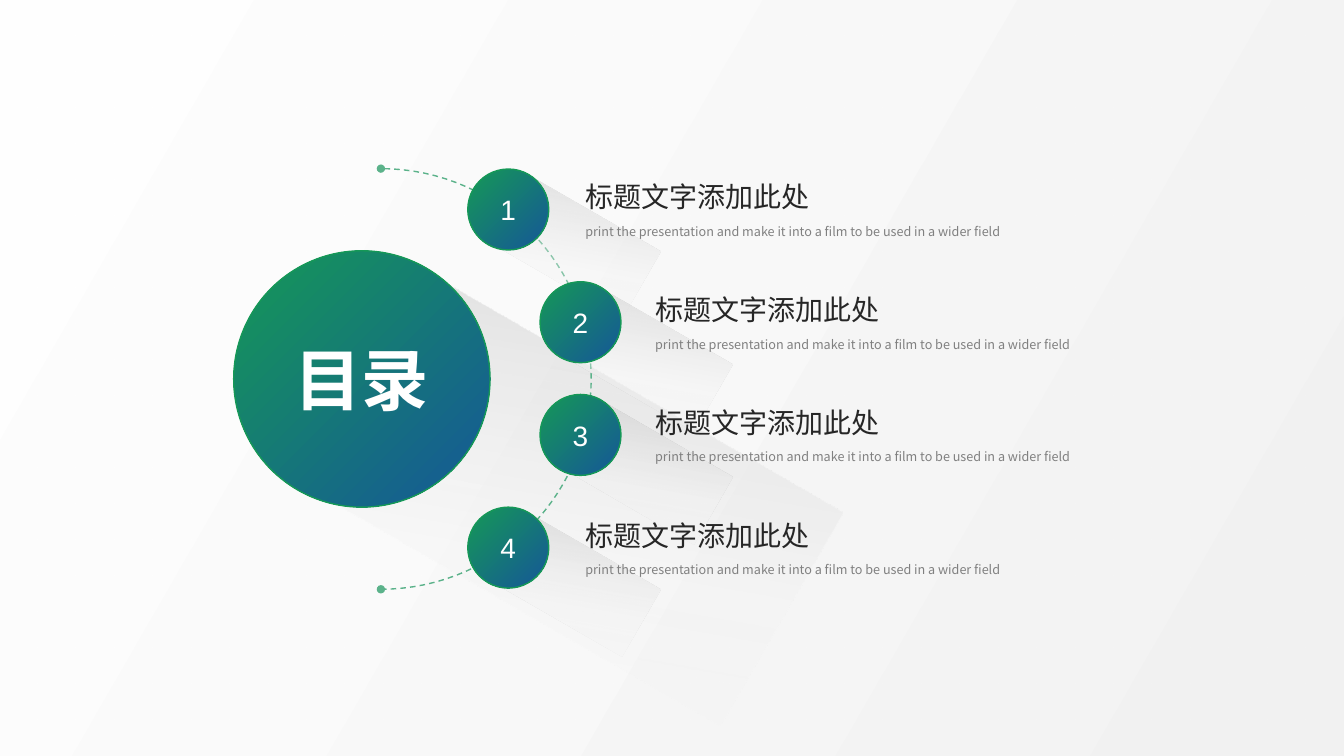
from math import cos, pi, sin

from lxml import etree
from pptx import Presentation
from pptx.dml.color import RGBColor
from pptx.enum.dml import MSO_LINE
from pptx.enum.shapes import MSO_SHAPE
from pptx.enum.text import MSO_ANCHOR, MSO_AUTO_SIZE, PP_ALIGN
from pptx.oxml.ns import qn
from pptx.util import Cm, Pt

RECTANGLE, OVAL = MSO_SHAPE.RECTANGLE, MSO_SHAPE.OVAL
LEFT, CENTER = PP_ALIGN.LEFT, PP_ALIGN.CENTER
TOP, MIDDLE = MSO_ANCHOR.TOP, MSO_ANCHOR.MIDDLE

TITLE = "目录"
DETAIL = "print the presentation and make it into a film to be used in a wider field"
# heading, detail, badge left, text left (cm)
SECTIONS = [
    ("标题文字添加此处", DETAIL, 11.79, 14.5),
    ("标题文字添加此处", DETAIL, 13.61, 16.26),
    ("标题文字添加此处", DETAIL, 13.61, 16.26),
    ("标题文字添加此处", DETAIL, 11.79, 14.5),
]


class Theme:
    cjk, latin = "Noto Sans CJK SC", "Arial"
    white, heading, detail = "FFFFFF", "262626", "808080"
    outline, arc = "159857", "5BB28A"
    title_size, heading_size, detail_size = 48, 20, 9
    # gradient stops: position %, colour, opacity %
    backdrop = [(0, "FFFFFF", 95), (100, "F2F2F2", 100)]
    disc = [(0, "159857", 100), (100, "155798", 100)]
    shadow = [(0, "BFBFBF", 50), (61, "F2F2F2", 34), (100, "F2F2F2", 0)]


SLIDE_W, SLIDE_H = 33.87, 19.05
HUB_LEFT, HUB_TOP, HUB_SIZE = 5.89, 6.32, 6.46
BADGE_TOP, BADGE_PITCH, BADGE_SIZE = 4.26, 2.84, 2.04
ARC_X, ARC_Y, ARC_RADIUS, ARC_STEPS = 9.6, 9.55, 5.3, 60


def box(left, top, width, height):
    return [Cm(value) for value in (left, top, width, height)]


def write(shape, text, *, size, color, font=Theme.cjk, bold=False,
          align=LEFT, anchor=TOP, spacing=None, grow=True):
    frame = shape.text_frame
    frame.word_wrap = True
    frame.vertical_anchor = anchor
    frame.auto_size = MSO_AUTO_SIZE.SHAPE_TO_FIT_TEXT if grow else MSO_AUTO_SIZE.NONE
    paragraph = frame.paragraphs[0]
    paragraph.alignment = align
    paragraph.line_spacing = spacing
    run = paragraph.add_run()
    run.text = text
    run.font.size, run.font.bold, run.font.name = Pt(size), bold, font
    run.font.color.rgb = RGBColor.from_string(color)
    latin = run.font._element.find(qn("a:latin"))
    east_asian = etree.Element(qn("a:ea"), typeface=font)
    latin.addnext(east_asian)


def fill_gradient(shape, stops, angle):
    """Fill with (position, colour, opacity) stops; the angle runs clockwise."""
    shape.fill.gradient()
    shape.fill.gradient_angle = 360 - angle
    stop_list = shape._element.spPr.find(qn("a:gradFill")).find(qn("a:gsLst"))
    for old_stop in list(stop_list):
        stop_list.remove(old_stop)
    for position, color, opacity in stops:
        stop = etree.SubElement(stop_list, qn("a:gs"), pos=str(position * 1000))
        rgb = etree.SubElement(stop, qn("a:srgbClr"), val=color)
        if opacity < 100:
            etree.SubElement(rgb, qn("a:alpha"), val=str(opacity * 1000))


def add_gradient_shape(slide, kind, bounds, stops, angle):
    shape = slide.shapes.add_shape(kind, *box(*bounds))
    shape.shadow.inherit = False
    shape.line.fill.background()
    fill_gradient(shape, stops, angle)
    return shape


def add_disc(slide, left, top, size):
    """Add a disc whose long cast shadow scales with its size."""
    cast = (left + 0.457 * size, top + 0.505 * size, 1.8 * size, 0.96 * size)
    add_gradient_shape(slide, RECTANGLE, cast, Theme.shadow, 70).rotation = 30
    disc = add_gradient_shape(slide, OVAL, (left, top, size, size), Theme.disc, 45)
    disc.line.color.rgb = RGBColor.from_string(Theme.outline)
    disc.line.width = Pt(1)
    return disc


def add_arc(slide):
    angles = [pi * step / ARC_STEPS - pi / 2 for step in range(ARC_STEPS + 1)]
    points = [(Cm(ARC_X + ARC_RADIUS * cos(a)), Cm(ARC_Y + ARC_RADIUS * sin(a)))
              for a in angles]
    builder = slide.shapes.build_freeform(*points[0])
    builder.add_line_segments(points[1:], close=False)
    arc = builder.convert_to_shape()
    arc.shadow.inherit = False
    arc.fill.background()
    arc.line.color.rgb = RGBColor.from_string(Theme.arc)
    arc.line.width = Pt(1)
    arc.line.dash_style = MSO_LINE.DASH
    outline = arc._element.spPr.find(qn("a:ln"))
    for end in ("a:headEnd", "a:tailEnd"):
        etree.SubElement(outline, qn(end), type="oval")


def add_section(slide, index, heading, detail, badge_left, text_left):
    top = BADGE_TOP + index * BADGE_PITCH
    badge = add_disc(slide, badge_left, top, BADGE_SIZE)
    write(badge, str(index + 1), size=Theme.heading_size, color=Theme.white,
          font=Theme.latin, align=CENTER, anchor=MIDDLE, grow=False)
    heading_box = slide.shapes.add_textbox(*box(text_left, top + 0.15, 9, 1.11))
    write(heading_box, heading, size=Theme.heading_size, color=Theme.heading)
    detail_box = slide.shapes.add_textbox(*box(text_left, top + 1.18, 13.5, 0.7))
    write(detail_box, detail, size=Theme.detail_size, color=Theme.detail, spacing=1.2)


def main():
    deck = Presentation()
    deck.slide_width, deck.slide_height = Cm(SLIDE_W), Cm(SLIDE_H)
    slide = deck.slides.add_slide(deck.slide_layouts[5])
    add_gradient_shape(slide, RECTANGLE, (0, 0, SLIDE_W, SLIDE_H), Theme.backdrop, 30)
    add_disc(slide, HUB_LEFT, HUB_TOP, HUB_SIZE)

    title = slide.shapes.title
    title.left, title.top, title.width, title.height = box(6.96, 8.41, 4.32, 2.31)
    write(title, TITLE, size=Theme.title_size, color=Theme.white, bold=True, align=CENTER)
    slide.shapes._spTree.append(title._element)  # bring in front of the hub disc

    add_arc(slide)
    for index, section in enumerate(SECTIONS):
        add_section(slide, index, *section)
    deck.save("out.pptx")


if __name__ == "__main__":
    main()
